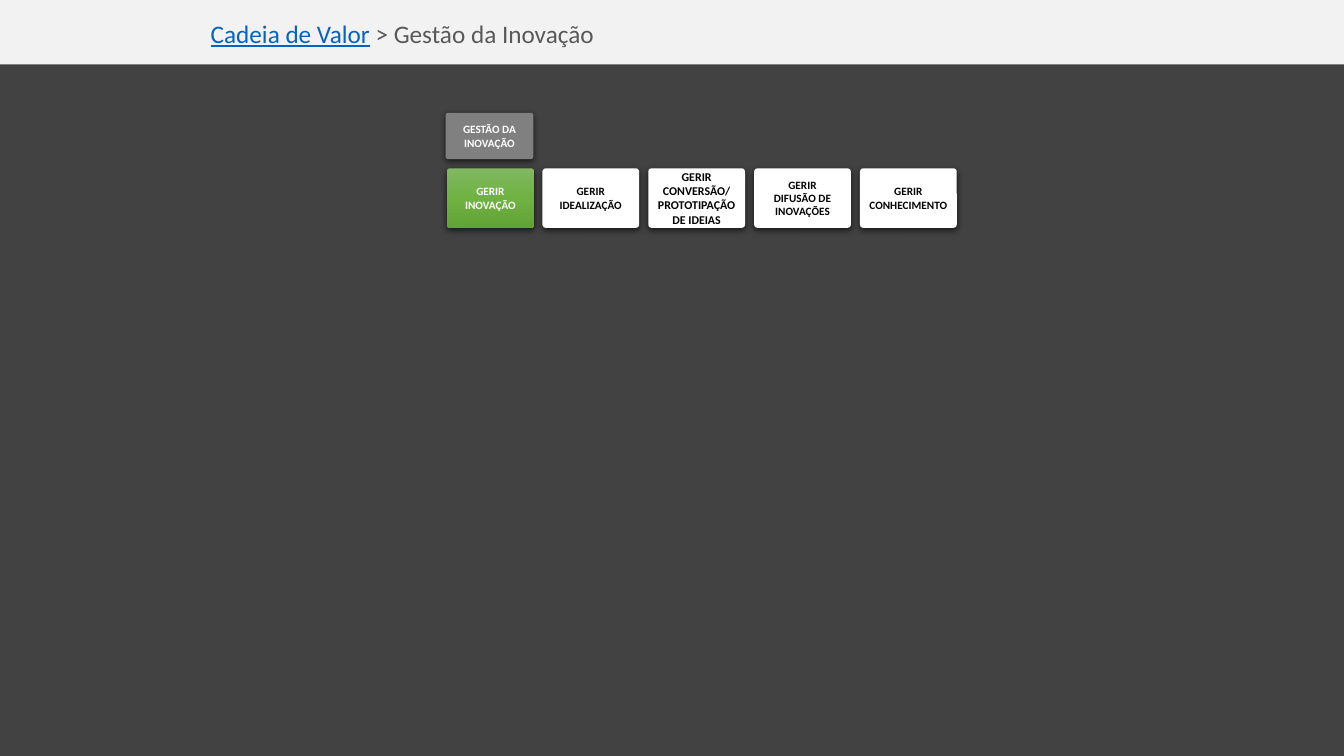
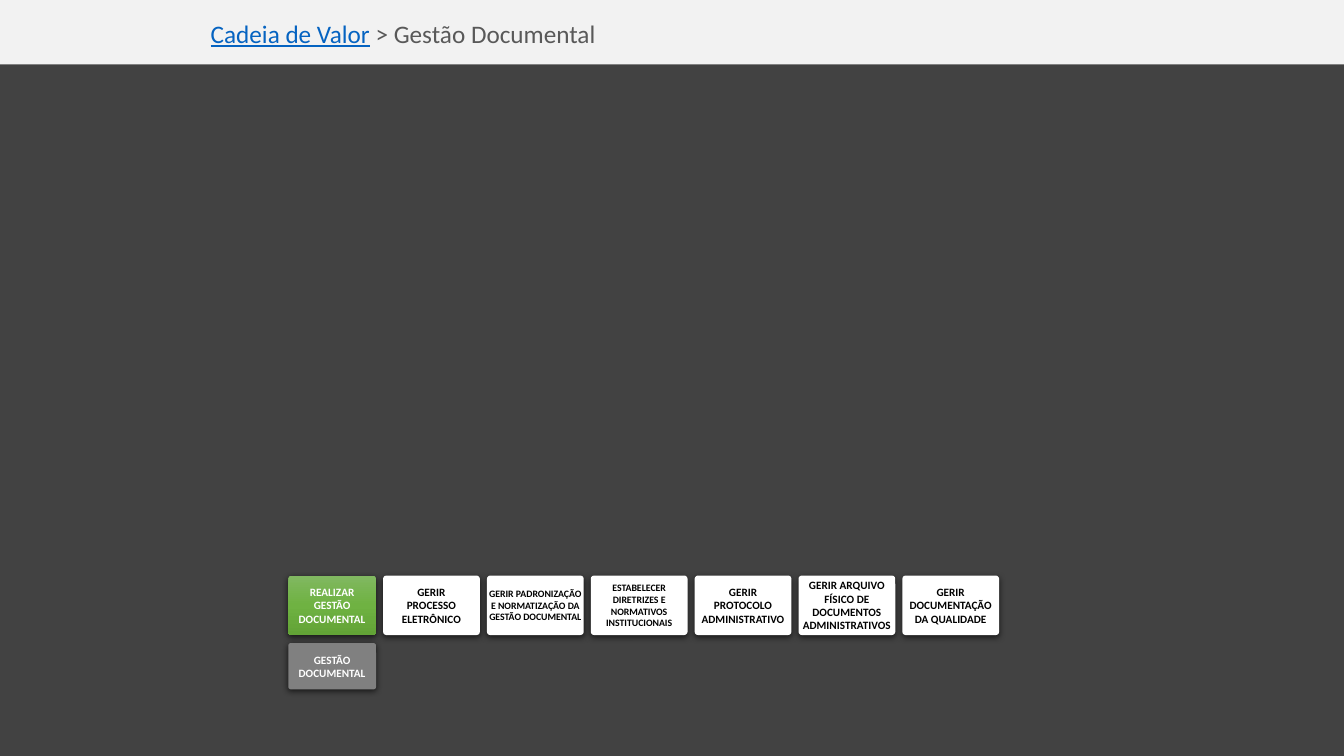
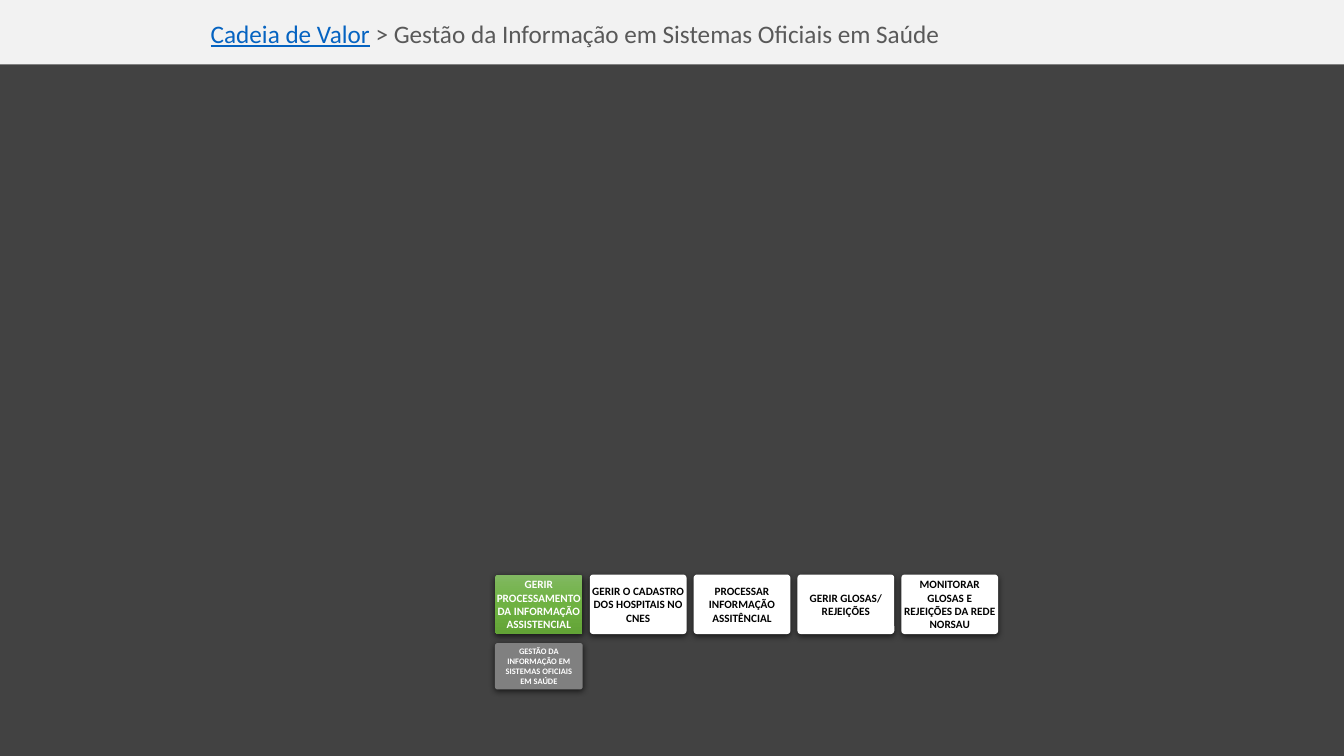
from pptx import Presentation
from pptx.dml.color import RGBColor
from pptx.enum import shapes, text
from pptx.oxml import parse_xml
from pptx.oxml.ns import nsdecls
from pptx.util import Inches, Pt

FONT = "Calibri"
WHITE = RGBColor(0xFF, 0xFF, 0xFF)
BLACK = RGBColor(0x00, 0x00, 0x00)
BAND = RGBColor(0xF2, 0xF2, 0xF2)
GRAY = RGBColor(0x80, 0x80, 0x80)
LINK = RGBColor(0x05, 0x63, 0xC1)
TITLE = RGBColor(0x59, 0x59, 0x59)
GREENS = ((0, RGBColor(0x81, 0xB8, 0x61)),
          (50, RGBColor(0x6F, 0xB2, 0x42)),
          (100, RGBColor(0x62, 0xA3, 0x36)))

SLIDE_W, SLIDE_H, BAND_H = 13.33, 7.5, 0.64
STEP_W, STEP_H, LABEL_H = 0.96, 0.59, 0.46
HEAD_W = 0.87


class Deck:
    """Shared style and the slide being built."""

    def __init__(self):
        self.prs = Presentation()
        self.prs.slide_width = Inches(SLIDE_W)
        self.prs.slide_height = Inches(SLIDE_H)

    def slide(self, name):
        self.s = self.prs.slides.add_slide(self.prs.slide_layouts[5])
        self.band(BAND_H, SLIDE_H - BAND_H, BLACK, alpha=74)
        self.band(0, BAND_H, BAND)
        self.title(name)

    def shape(self, kind, x, y, w, h, color=None):
        sp = self.s.shapes.add_shape(kind, Inches(x), Inches(y), Inches(w), Inches(h))
        sp.shadow.inherit = False
        sp.line.fill.background()
        if color is not None:
            sp.fill.solid()
            sp.fill.fore_color.rgb = color
        return sp

    def band(self, y, h, color, alpha=100):
        """Full-width band behind the title."""
        sp = self.shape(shapes.MSO_SHAPE.RECTANGLE, 0, y, SLIDE_W, h, color)
        if alpha < 100:
            srgb = sp._element.spPr.find(".//{*}solidFill/{*}srgbClr")
            srgb.append(parse_xml(f'<a:alpha {nsdecls("a")} val="{alpha * 1000}"/>'))
        self.s.shapes._spTree.insert(2, sp._element)

    def title(self, name):
        sp = self.s.shapes.title
        sp.left, sp.top = Inches(1.99), Inches(0.13)
        sp.width, sp.height = Inches(11.24), Inches(0.52)
        tf = sp.text_frame
        tf.word_wrap = True
        tf.auto_size = text.MSO_AUTO_SIZE.NONE
        tf.vertical_anchor = text.MSO_ANCHOR.TOP
        p = tf.paragraphs[0]
        p.alignment = text.PP_ALIGN.LEFT
        self.run(p, "Cadeia de Valor", 18, LINK).underline = True
        self.run(p, f" > {name}", 18, TITLE)

    def run(self, p, words, size, color, bold=False):
        r = p.add_run()
        r.text = words
        font = r.font
        font.name, font.size, font.bold = FONT, Pt(size), bold
        font.color.rgb = color
        return font

    def card(self, x, y, w, h, words, size=8, fill=WHITE, color=BLACK):
        """Rounded card with a soft shadow; no fill colour means green gradient."""
        sp = self.shape(shapes.MSO_SHAPE.ROUNDED_RECTANGLE, x, y, w, h, fill)
        sp.adjustments[0] = 0.055
        spPr = sp._element.spPr
        if fill is None:
            stops = "".join(f'<a:gs pos="{pos * 1000}"><a:srgbClr val="{c}"/></a:gs>'
                            for pos, c in GREENS)
            spPr.insert(2, parse_xml(
                f'<a:gradFill {nsdecls("a")} rotWithShape="1"><a:gsLst>{stops}</a:gsLst>'
                '<a:lin ang="5400000" scaled="0"/></a:gradFill>'))
        spPr.find("{*}effectLst").append(parse_xml(
            f'<a:outerShdw {nsdecls("a")} blurRad="{Pt(4.5)}" dist="{Pt(1.5)}" '
            'dir="5400000" algn="ctr" rotWithShape="0"><a:srgbClr val="000000">'
            '<a:alpha val="63000"/></a:srgbClr></a:outerShdw>'))
        tf = sp.text_frame
        tf.word_wrap = True
        tf.vertical_anchor = text.MSO_ANCHOR.MIDDLE
        tf.margin_left = tf.margin_right = tf.margin_top = tf.margin_bottom = 0
        for i, line in enumerate(words.split("\n")):
            p = tf.paragraphs[0] if i == 0 else tf.add_paragraph()
            p.alignment = text.PP_ALIGN.CENTER
            self.run(p, line, size, color, bold=True)

    def chain(self, x, y, head, steps, first, pitch):
        """Green head card followed by evenly spaced white steps."""
        self.card(x, y, HEAD_W, STEP_H, head, fill=None, color=WHITE)
        for i, (words, size) in enumerate(steps):
            self.card(first + i * pitch, y, STEP_W, STEP_H, words, size)

    def label(self, x, y, words, size=8):
        self.card(x, y, HEAD_W, LABEL_H, words, size, GRAY, WHITE)


def main():
    deck = Deck()

    # Innovation
    deck.slide("Gestão da Inovação")
    deck.chain(4.43, 1.67, "GERIR\nINOVAÇÃO", [
        ("GERIR\nIDEALIZAÇÃO", 8),
        ("GERIR CONVERSÃO/ PROTOTIPAÇÃO\nDE IDEIAS", 8.5),
        ("GERIR\nDIFUSÃO DE INOVAÇÕES", 8),
        ("GERIR CONHECIMENTO", 8),
    ], first=5.38, pitch=1.05)
    deck.label(4.42, 1.12, "GESTÃO DA INOVAÇÃO")

    # Documents
    deck.slide("Gestão Documental")
    deck.label(2.86, 6.38, "GESTÃO DOCUMENTAL")
    deck.chain(2.86, 5.71, "REALIZAR\nGESTÃO DOCUMENTAL", [
        ("GERIR\nPROCESSO ELETRÔNICO", 8),
        ("GERIR PADRONIZAÇÃO E NORMATIZAÇÃO DA GESTÃO DOCUMENTAL", 7),
        ("ESTABELECER DIRETRIZES E NORMATIVOS INSTITUCIONAIS", 7),
        ("GERIR\nPROTOCOLO ADMINISTRATIVO", 8),
        ("GERIR ARQUIVO FÍSICO DE DOCUMENTOS ADMINISTRATIVOS", 8),
        ("GERIR DOCUMENTAÇÃO DA QUALIDADE", 8),
    ], first=3.8, pitch=1.03)

    # Official health systems
    deck.slide("Gestão da Informação em Sistemas Oficiais em Saúde")
    deck.chain(4.91, 5.7, "GERIR PROCESSAMENTO DA INFORMAÇÃO ASSISTENCIAL", [
        ("GERIR O CADASTRO DOS HOSPITAIS NO CNES", 8),
        ("PROCESSAR INFORMAÇÃO ASSITÊNCIAL", 8),
        ("GERIR GLOSAS/ REJEIÇÕES", 8),
        ("MONITORAR GLOSAS E REJEIÇÕES DA REDE NORSAU", 8),
    ], first=5.85, pitch=1.03)
    deck.label(4.91, 6.38, "GESTÃO DA INFORMAÇÃO EM SISTEMAS OFICIAIS\nEM SAÚDE", 6)

    deck.prs.save("out.pptx")


if __name__ == "__main__":
    main()
